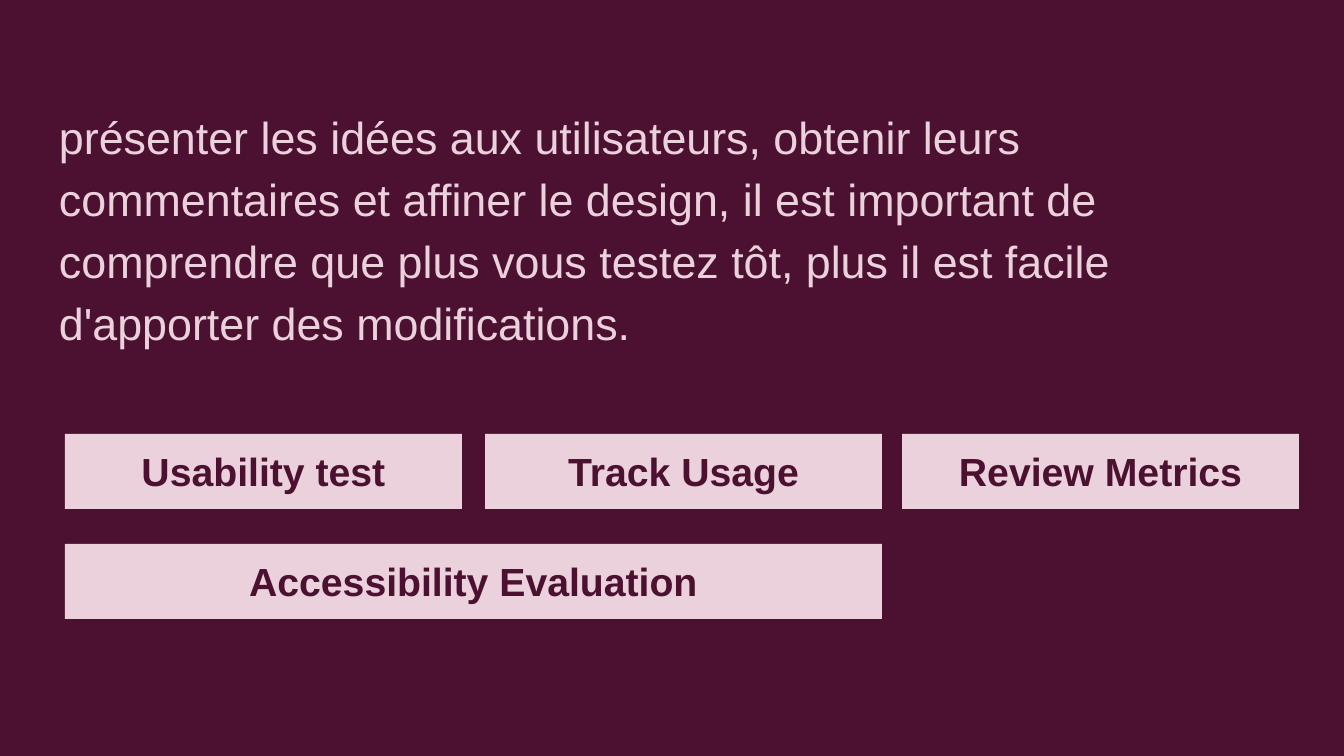
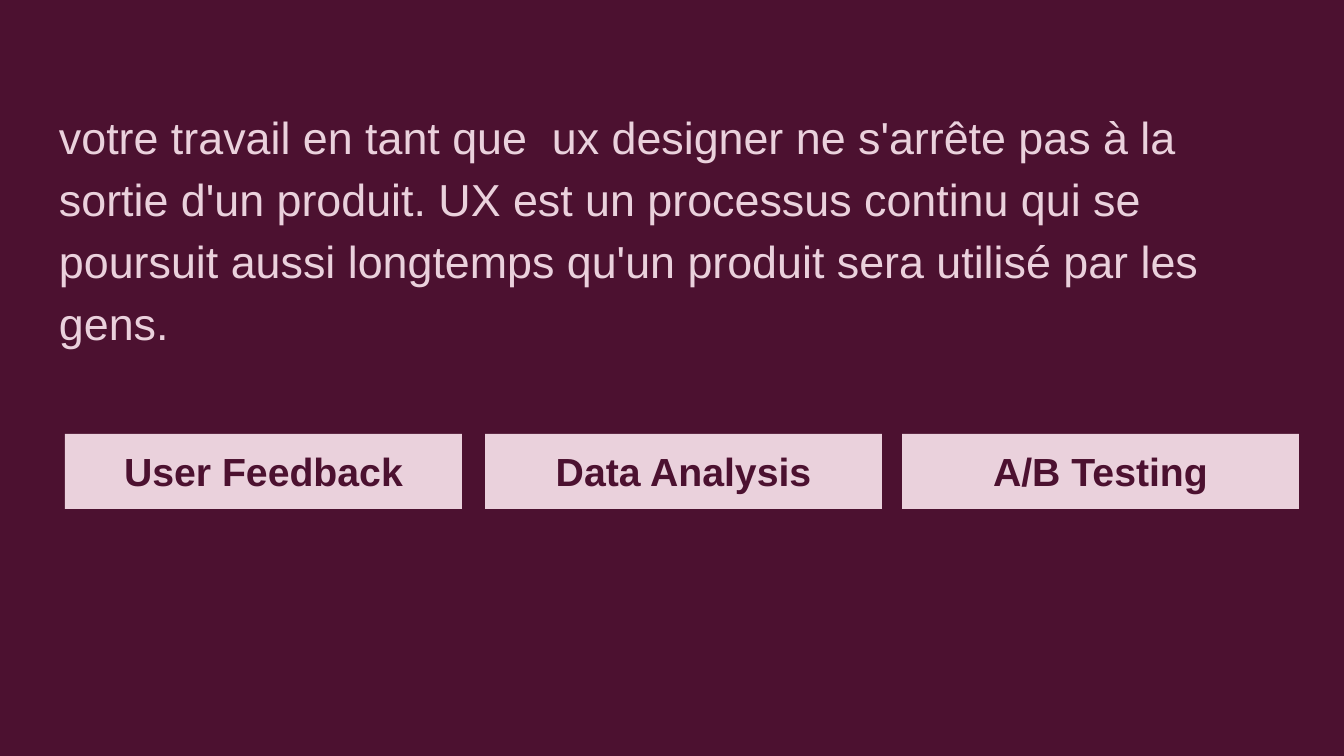
from dataclasses import dataclass

from pptx import Presentation
from pptx.dml.color import RGBColor
from pptx.enum.shapes import MSO_SHAPE
from pptx.enum.text import MSO_ANCHOR, MSO_AUTO_SIZE, PP_ALIGN
from pptx.oxml.ns import qn
from pptx.util import Emu, Pt

RECTANGLE = MSO_SHAPE.RECTANGLE
TOP = MSO_ANCHOR.TOP
FIXED, GROW = MSO_AUTO_SIZE.NONE, MSO_AUTO_SIZE.SHAPE_TO_FIT_TEXT
LEFT, CENTER = PP_ALIGN.LEFT, PP_ALIGN.CENTER

EMU_PER_PX = 914400 / 134.4
CONTENT_LAYOUT = 1


@dataclass(frozen=True)
class Theme:
    plum: RGBColor = RGBColor(0x4C, 0x11, 0x30)
    blush: RGBColor = RGBColor(0xEA, 0xD1, 0xDC)
    font: str = "Arial"
    body_size: Pt = Pt(24)
    label_size: Pt = Pt(21)


THEME = Theme()

# Layout in px: left, top, width, height
SLIDE_SIZE = (1344, 756)
INTRO_BOX = (46, 89, 1252, 503)
METHODS_BOX = (65, 434, 1234, 185)
INSET = 13
COLUMN_OFFSETS = (0, 420, 837)
LABEL_WIDTH, LABEL_HEIGHT = 397, 75
ROW_PITCH = 110

# Each method: label, row, first column, last column
STAGES = [
    (
        "présenter les idées aux utilisateurs, obtenir leurs commentaires et "
        "affiner le design, il est important de comprendre que plus vous "
        "testez tôt, plus il est facile d'apporter des modifications.",
        [
            ("Usability test", 0, 0, 0),
            ("Track Usage", 0, 1, 1),
            ("Accessibility Evaluation", 1, 0, 1),
            ("Review Metrics", 0, 2, 2),
        ],
    ),
    (
        "votre travail en tant que  ux designer ne s'arrête pas à la sortie "
        "d'un produit. UX est un processus continu qui se poursuit aussi "
        "longtemps qu'un produit sera utilisé par les gens.",
        [
            ("User Feedback", 0, 0, 0),
            ("Data Analysis", 0, 1, 1),
            ("A/B Testing", 0, 2, 2),
        ],
    ),
]


def px(length):
    return Emu(round(length * EMU_PER_PX))


def apply(target, formats):
    for attribute, value in formats.items():
        setattr(target, attribute, value)


def write_text(shape, text, color, frame_format, paragraph_format, font_format):
    """Fill a shape with one formatted paragraph."""
    frame = shape.text_frame
    frame.text = text
    insets = {f"margin_{side}": px(INSET)
              for side in ("left", "top", "right", "bottom")}
    apply(frame, {"word_wrap": True, "vertical_anchor": TOP,
                  **insets, **frame_format})
    paragraph = frame.paragraphs[0]
    apply(paragraph, paragraph_format)
    font = paragraph.runs[0].font
    apply(font, {"name": THEME.font, **font_format})
    font.color.rgb = color
    return paragraph


def add_intro(slide, box, text):
    """Place the introductory paragraph in the body placeholder."""
    intro = slide.placeholders[1]
    apply(intro, dict(zip(("left", "top", "width", "height"), map(px, box))))
    paragraph = write_text(
        intro, text, THEME.blush,
        {"auto_size": FIXED},
        {"alignment": LEFT, "line_spacing": 1.15,
         "space_before": Pt(0), "space_after": Pt(12)},
        {"size": THEME.body_size},
    )
    # Plain paragraph: no bullet, no hanging indent
    properties = paragraph._p.get_or_add_pPr()
    properties.set("marL", "0")
    properties.set("indent", "0")
    properties.append(properties.makeelement(qn("a:buNone"), {}))


def add_methods(slide, box, methods):
    """Lay the method labels on a three-column grid inside the box."""
    left, top = box[:2]
    for text, row, first, last in methods:
        start = COLUMN_OFFSETS[first]
        width = COLUMN_OFFSETS[last] - start + LABEL_WIDTH
        label = slide.shapes.add_shape(
            RECTANGLE, px(left + start), px(top + row * ROW_PITCH),
            px(width), px(LABEL_HEIGHT))
        label.shadow.inherit = False
        label.fill.solid()
        label.fill.fore_color.rgb = THEME.blush
        label.line.fill.background()
        write_text(
            label, text, THEME.plum,
            {"auto_size": GROW},
            {"alignment": CENTER},
            {"size": THEME.label_size, "bold": True},
        )


def add_stage_slide(deck, intro, methods):
    slide = deck.slides.add_slide(deck.slide_layouts[CONTENT_LAYOUT])
    # These slides carry no title
    unused_title = slide.shapes.title.element
    unused_title.getparent().remove(unused_title)
    add_intro(slide, INTRO_BOX, intro)
    add_methods(slide, METHODS_BOX, methods)


def main():
    deck = Presentation()
    deck.slide_width, deck.slide_height = map(px, SLIDE_SIZE)
    # Shared background
    background = deck.slide_master.background.fill
    background.solid()
    background.fore_color.rgb = THEME.plum
    for intro, methods in STAGES:
        add_stage_slide(deck, intro, methods)
    deck.save("out.pptx")


if __name__ == "__main__":
    main()
